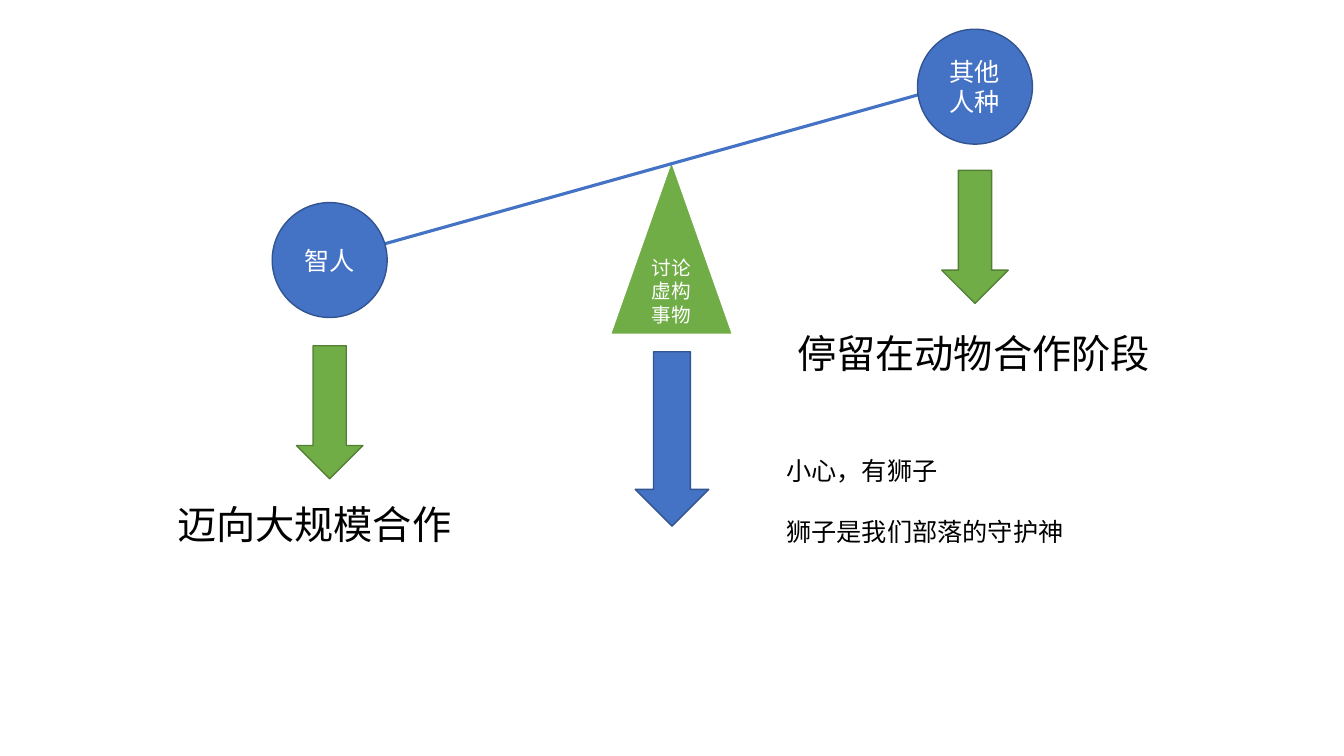
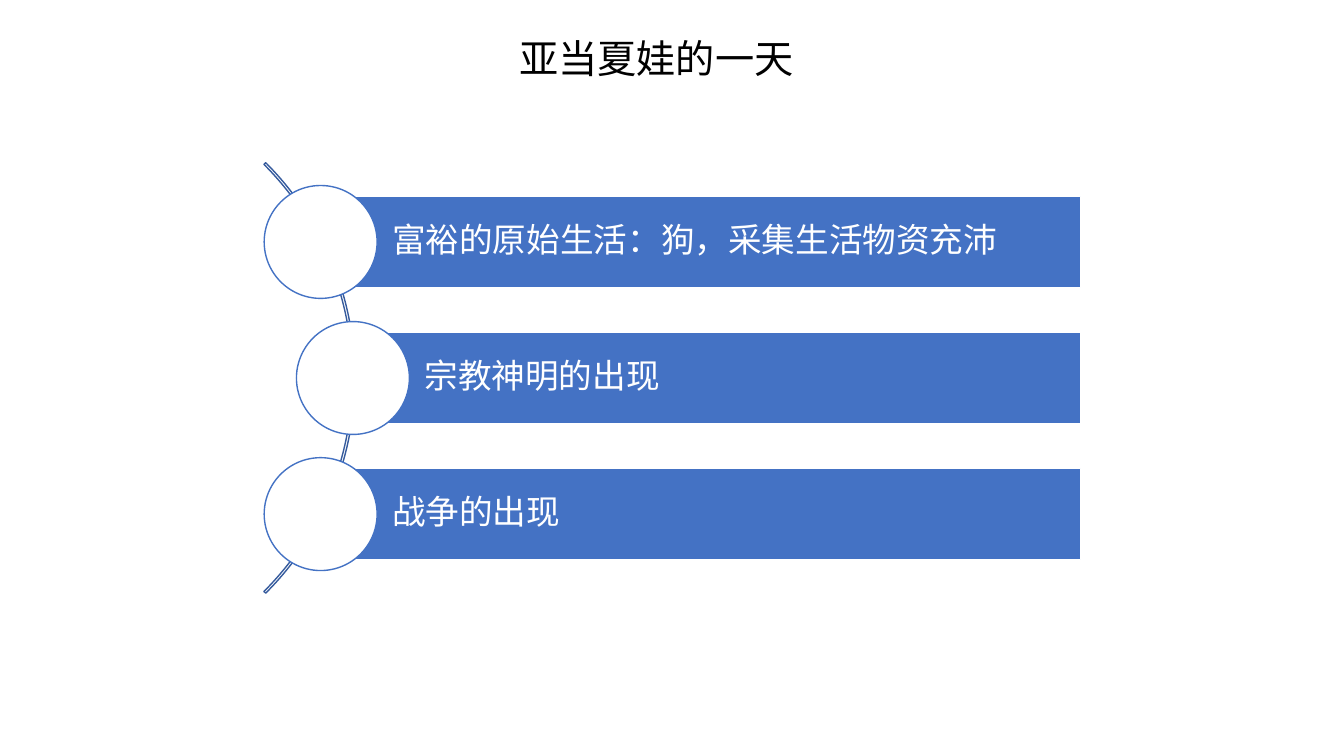
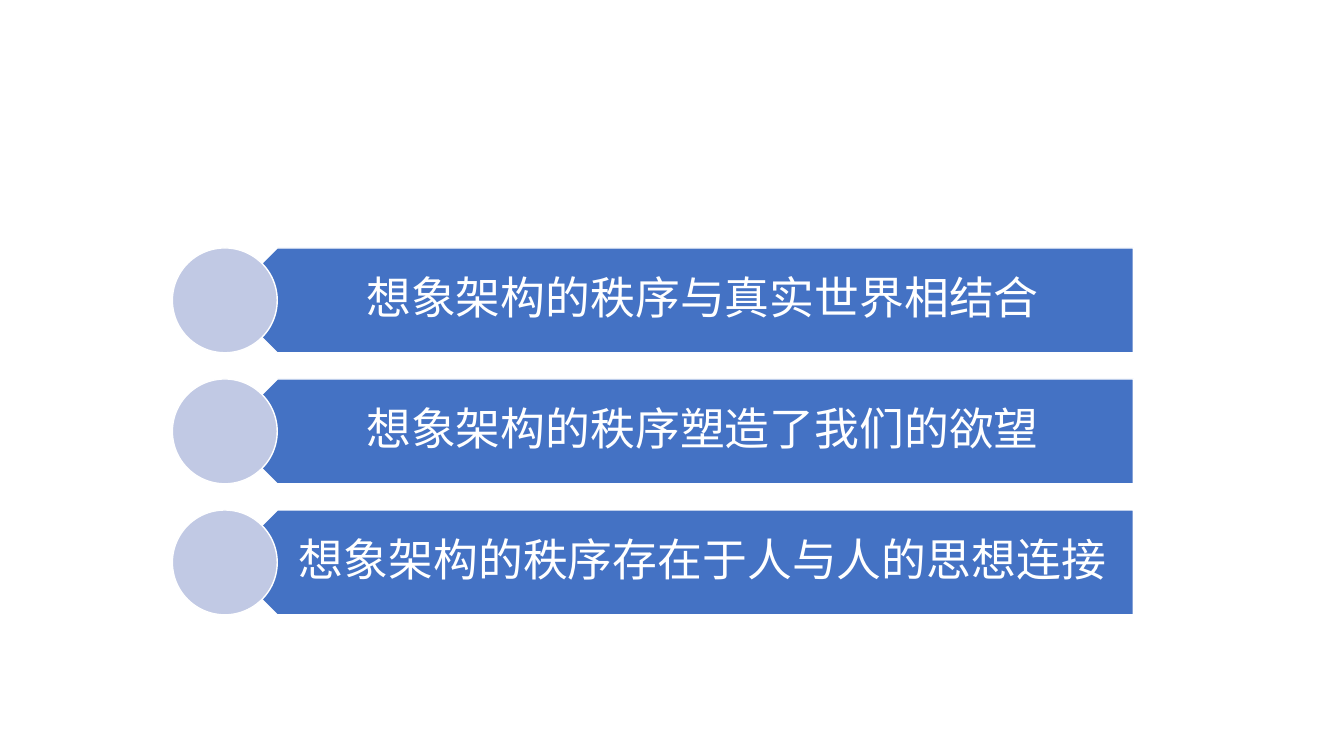
from dataclasses import dataclass

from lxml.etree import SubElement
from pptx import Presentation
from pptx.dml.color import RGBColor
from pptx.enum.shapes import MSO_CONNECTOR as Connector, MSO_SHAPE as Preset
from pptx.enum.text import MSO_ANCHOR as Anchor, MSO_AUTO_SIZE as AutoSize, PP_ALIGN as Align
from pptx.oxml.ns import qn
from pptx.shapes.autoshape import Shape
from pptx.slide import Slide
from pptx.text.text import TextFrame
from pptx.util import Emu, Pt

FONT = "Noto Sans CJK SC"
WHITE = RGBColor(0xFF, 0xFF, 0xFF)
BLACK = RGBColor(0x00, 0x00, 0x00)
BLUE = RGBColor(0x44, 0x72, 0xC4)
DARK_BLUE = RGBColor(0x32, 0x54, 0x91)
ARC_BLUE = RGBColor(0x36, 0x5B, 0x9D)
PALE_BLUE = RGBColor(0xC1, 0xC9, 0xE4)
GREEN = RGBColor(0x70, 0xAD, 0x47)
DARK_GREEN = RGBColor(0x53, 0x80, 0x35)

EMU_PER_PX = 9144
TITLE_ONLY, BLANK = 5, 6


@dataclass(frozen=True)
class Area:
    left: int
    top: int
    width: int
    height: int

    def emu(self) -> tuple[Emu, Emu, Emu, Emu]:
        return px(self.left), px(self.top), px(self.width), px(self.height)


@dataclass(frozen=True)
class Style:
    fill: RGBColor | None
    line: RGBColor
    weight: float = 1


@dataclass(frozen=True)
class TextStyle:
    size: int
    color: RGBColor
    align: Align = Align.LEFT
    spacing: float | None = None
    gap: int = 0


@dataclass(frozen=True)
class Insets:
    left: int
    top: int
    right: int
    bottom: int


@dataclass(frozen=True)
class Weight:
    area: Area
    text: str


@dataclass(frozen=True)
class Arrow:
    area: Area
    style: Style


@dataclass(frozen=True)
class Caption:
    area: Area
    lines: tuple[str, ...]
    style: TextStyle


@dataclass(frozen=True)
class Topic:
    circle_left: int
    text: str


BLUE_STYLE = Style(BLUE, DARK_BLUE)
GREEN_STYLE = Style(GREEN, DARK_GREEN)
BAR_STYLE = Style(BLUE, WHITE)
HEADING = TextStyle(28, BLACK)
TITLE = TextStyle(28, BLACK, Align.CENTER)
QUOTE = TextStyle(18, BLACK, gap=22)
WEIGHT_TEXT = TextStyle(18, WHITE, Align.CENTER)
PIVOT_TEXT = TextStyle(14, WHITE, Align.CENTER)
TOPIC_TEXT = TextStyle(24, WHITE, spacing=0.9)
ORDER_TEXT = TextStyle(32, WHITE, Align.CENTER, spacing=0.9)
TOPIC_INSETS = Insets(71, 7, 7, 7)
ORDER_INSETS = Insets(46, 13, 25, 13)

WEIGHTS = (
    Weight(Area(270, 201, 114, 114), "智人"),
    Weight(Area(910, 29, 114, 114), "其他人种"),
)
ARROWS = (
    Arrow(Area(934, 169, 66, 132), GREEN_STYLE),
    Arrow(Area(294, 343, 66, 132), GREEN_STYLE),
    Arrow(Area(630, 349, 73, 173), BLUE_STYLE),
)
CAPTIONS = (
    Caption(Area(781, 322, 440, 57), ("停留在动物合作阶段",), HEADING),
    Caption(Area(166, 491, 323, 57), ("迈向大规模合作",), HEADING),
    Caption(Area(770, 447, 379, 101), ("小心，有狮子", "狮子是我们部落的守护神"), QUOTE),
)
TOPICS = (
    Topic(262, "富裕的原始生活：狗，采集生活物资充沛"),
    Topic(294, "宗教神明的出现"),
    Topic(262, "战争的出现"),
)
ORDERS = (
    "想象架构的秩序与真实世界相结合",
    "想象架构的秩序塑造了我们的欲望",
    "想象架构的秩序存在于人与人的思想连接",
)


def px(length: int) -> Emu:
    return Emu(length * EMU_PER_PX)


def write(
    frame: TextFrame,
    lines: tuple[str, ...],
    style: TextStyle,
    anchor: Anchor = Anchor.MIDDLE,
    insets: Insets = Insets(10, 5, 10, 5),
) -> None:
    frame.word_wrap = True
    frame.auto_size = AutoSize.NONE
    frame.vertical_anchor = anchor
    frame.margin_left, frame.margin_top = px(insets.left), px(insets.top)
    frame.margin_right, frame.margin_bottom = px(insets.right), px(insets.bottom)
    for index, line in enumerate(lines):
        para = frame.add_paragraph() if index else frame.paragraphs[0]
        para.text = line
        para.alignment = style.align
        if style.spacing:
            para.line_spacing = style.spacing
        if index:
            para.space_before = Pt(style.gap)
        font = para.font
        font.name = FONT
        font.size = Pt(style.size)
        font.color.rgb = style.color
        properties = para._p.pPr.find(qn("a:defRPr"))
        SubElement(properties, qn("a:ea"), typeface=FONT)


def add_preset(page: Slide, preset: Preset, area: Area, style: Style) -> Shape:
    shape = page.shapes.add_shape(preset, *area.emu())
    shape.shadow.inherit = False
    if style.fill is None:
        shape.fill.background()
    else:
        shape.fill.solid()
        shape.fill.fore_color.rgb = style.fill
    shape.line.color.rgb = style.line
    shape.line.width = Pt(style.weight)
    return shape


def add_text(
    page: Slide,
    area: Area,
    lines: tuple[str, ...],
    style: TextStyle,
    anchor: Anchor = Anchor.TOP,
    insets: Insets = Insets(10, 5, 10, 5),
) -> None:
    box = page.shapes.add_textbox(*area.emu())
    write(box.text_frame, lines, style, anchor, insets)


def add_title(page: Slide, area: Area, text: str) -> None:
    title = page.shapes.title
    title.left, title.top, title.width, title.height = area.emu()
    write(title.text_frame, (text,), TITLE, Anchor.TOP)


def add_beam(page: Slide) -> None:
    beam = page.shapes.add_connector(Connector.STRAIGHT, px(374), px(244), px(929), px(89))
    beam.line.color.rgb = BLUE
    beam.line.width = Pt(2.25)
    SubElement(beam._element.spPr, qn("a:effectLst"))


def build_seesaw(page: Slide) -> None:
    pivot = add_preset(page, Preset.ISOSCELES_TRIANGLE, Area(605, 159, 122, 173), Style(GREEN, WHITE, 1.5))
    write(pivot.text_frame, ("讨论虚构事物",), PIVOT_TEXT)
    add_beam(page)
    for weight in WEIGHTS:
        circle = add_preset(page, Preset.OVAL, weight.area, BLUE_STYLE)
        write(circle.text_frame, (weight.text,), WEIGHT_TEXT)
    for arrow in ARROWS:
        add_preset(page, Preset.DOWN_ARROW, arrow.area, arrow.style)
    for caption in CAPTIONS:
        add_text(page, caption.area, caption.lines, caption.style)


def build_day(page: Slide) -> None:
    top, pitch, height, right, diameter = 195, 135, 90, 1072, 112
    add_title(page, Area(351, 29, 600, 57), "亚当夏娃的一天")
    arc = add_preset(page, Preset.BLOCK_ARC, Area(-252, 73, 604, 604), Style(None, ARC_BLUE))
    for index, value in enumerate((189, 27, 0.004)):
        arc.adjustments[index] = value
    for row, topic in enumerate(TOPICS):
        bar_top = top + row * pitch
        bar_left = topic.circle_left + diameter // 2
        bar = add_preset(page, Preset.RECTANGLE, Area(bar_left, bar_top, right - bar_left, height), BAR_STYLE)
        write(bar.text_frame, (topic.text,), TOPIC_TEXT, insets=TOPIC_INSETS)
        circle_top = bar_top - (diameter - height) // 2
        add_preset(page, Preset.OVAL, Area(topic.circle_left, circle_top, diameter, diameter), Style(WHITE, BLUE))


def build_orders(page: Slide) -> None:
    top, pitch, size, left, right = 246, 130, 104, 171, 1124
    bar_left = left + size // 2
    text_left = bar_left + size // 4
    for row, text in enumerate(ORDERS):
        row_top = top + row * pitch
        bar = add_preset(page, Preset.PENTAGON, Area(bar_left, row_top, right - bar_left, size), BAR_STYLE)
        bar.rotation = 180
        text_area = Area(text_left, row_top, right - text_left, size)
        add_text(page, text_area, (text,), ORDER_TEXT, Anchor.MIDDLE, ORDER_INSETS)
        add_preset(page, Preset.OVAL, Area(left, row_top, size, size), Style(PALE_BLUE, WHITE))


def main() -> None:
    deck = Presentation()
    deck.slide_width, deck.slide_height = px(1333), px(750)
    for layout, build in ((BLANK, build_seesaw), (TITLE_ONLY, build_day), (BLANK, build_orders)):
        build(deck.slides.add_slide(deck.slide_layouts[layout]))
    deck.save("out.pptx")


if __name__ == "__main__":
    main()
